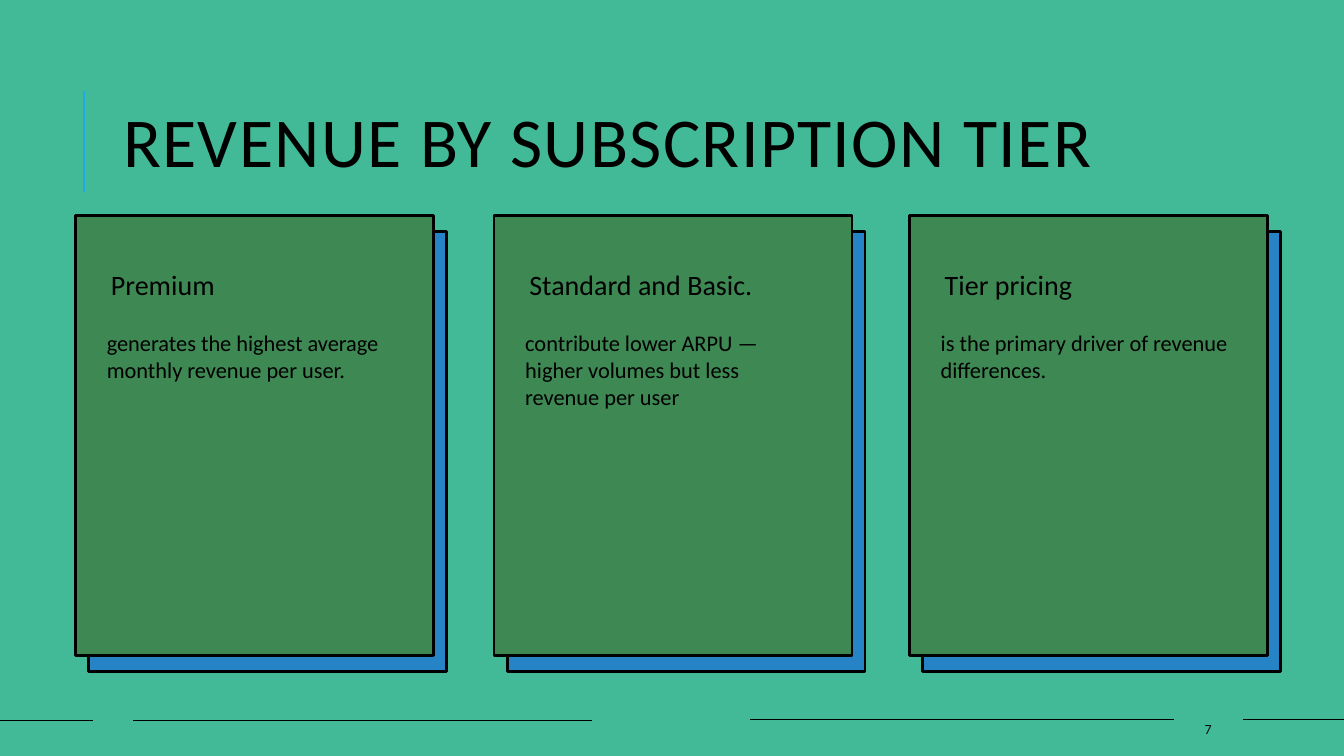
from dataclasses import dataclass

from pptx import Presentation
from pptx.dml.color import RGBColor
from pptx.enum.shapes import MSO_CONNECTOR, MSO_SHAPE
from pptx.enum.text import MSO_ANCHOR, MSO_AUTO_SIZE, PP_ALIGN
from pptx.oxml.ns import qn
from pptx.slide import Slide
from pptx.text.text import TextFrame
from pptx.util import Pt
from lxml.etree import SubElement

EMU_PER_PX = 9144  # 100 px to the inch
FONT = "Calibri"
COLORS = {
    "background": "42BA97",
    "accent": "1CADE4",
    "backing": "2683C6",
    "card": "3E8853",
    "ink": "000000",
    "page": "0D0D0D",
}
CARD_TOP, CARD_WIDTH, CARD_HEIGHT = 214, 355, 436
BACKING_DX, BACKING_DY = 13, 16
DETAIL_DX, DETAIL_DY, DETAIL_WIDTH, DETAIL_HEIGHT = 26, 108, 300, 305


@dataclass
class Rule:
    x1: int
    y1: int
    x2: int
    y2: int
    color: str = "ink"
    weight: float = 1


@dataclass
class Tier:
    left: int
    heading: str
    detail: str


RULES = [
    Rule(83, 190, 83, 90, "accent", 1.5),
    Rule(0, 715, 92, 715),
    Rule(132, 715, 587, 715),
    Rule(744, 714, 1164, 714),
    Rule(1233, 714, 1333, 714),
]
TIERS = [
    Tier(75, "Premium", "generates the highest average monthly revenue per user."),
    Tier(490, "Standard and Basic.",
         "contribute lower ARPU — higher volumes but less revenue per user"),
    Tier(902, "Tier pricing", "is the primary driver of revenue differences."),
]


def px(*lengths: int) -> list[int]:
    return [length * EMU_PER_PX for length in lengths]


def rgb(name: str) -> RGBColor:
    return RGBColor.from_string(COLORS[name])


def write(frame: TextFrame, text: str, size: int, color: str = "ink",
          anchor: MSO_ANCHOR = MSO_ANCHOR.TOP, line_spacing: float = 1.0,
          insets: tuple[int, int, int, int] = (5, 5, 5, 5), tracking: int = 0) -> None:
    """Fill a frame with one left-aligned run; insets are left, top, right, bottom."""
    frame.word_wrap = True
    frame.auto_size = MSO_AUTO_SIZE.NONE
    frame.vertical_anchor = anchor
    (frame.margin_left, frame.margin_top,
     frame.margin_right, frame.margin_bottom) = px(*insets)
    paragraph = frame.paragraphs[0]
    paragraph.alignment = PP_ALIGN.LEFT
    paragraph.line_spacing = line_spacing
    run = paragraph.add_run()
    run.text = text
    run.font.name = FONT
    run.font.size = Pt(size)
    run.font.color.rgb = rgb(color)
    if tracking:
        run.font._element.set("spc", str(tracking * 100))


def draw_rule(slide: Slide, rule: Rule) -> None:
    line = slide.shapes.add_connector(
        MSO_CONNECTOR.STRAIGHT, *px(rule.x1, rule.y1, rule.x2, rule.y2))
    line.line.color.rgb = rgb(rule.color)
    line.line.width = Pt(rule.weight)
    SubElement(line._element.spPr, qn("a:effectLst"))


def draw_panel(slide: Slide, left: int, top: int, fill: str) -> TextFrame:
    panel = slide.shapes.add_shape(
        MSO_SHAPE.RECTANGLE, *px(left, top, CARD_WIDTH, CARD_HEIGHT))
    panel.shadow.inherit = False
    panel.fill.solid()
    panel.fill.fore_color.rgb = rgb(fill)
    panel.line.color.rgb = rgb("ink")
    panel.line.width = Pt(2)
    return panel.text_frame


def draw_tier(slide: Slide, tier: Tier) -> None:
    draw_panel(slide, tier.left + BACKING_DX, CARD_TOP + BACKING_DY, "backing")
    card = draw_panel(slide, tier.left, CARD_TOP, "card")
    write(card, tier.heading, 20, line_spacing=0.9, insets=(35, 55, 5, 5))
    detail = slide.shapes.add_textbox(*px(
        tier.left + DETAIL_DX, CARD_TOP + DETAIL_DY, DETAIL_WIDTH, DETAIL_HEIGHT))
    write(detail.text_frame, tier.detail, 16)


def main() -> None:
    deck = Presentation()
    deck.slide_width, deck.slide_height = px(1333, 750)
    slide = deck.slides.add_slide(deck.slide_layouts[5])
    slide.background.fill.solid()
    slide.background.fill.fore_color.rgb = rgb("background")

    # Title
    title = slide.shapes.title
    title.left, title.top, title.width, title.height = px(112, 64, 1063, 164)
    write(title.text_frame, "REVENUE BY SUBSCRIPTION TIER", 50, anchor=MSO_ANCHOR.MIDDLE,
          line_spacing=0.8, insets=(10, 5, 10, 5), tracking=1)

    # Accent bar and footer rules
    for rule in RULES:
        draw_rule(slide, rule)

    # Tier cards
    for tier in TIERS:
        draw_tier(slide, tier)

    # Page number
    page = slide.shapes.add_textbox(*px(1185, 708, 106, 30))
    write(page.text_frame, "7", 10, color="page", anchor=MSO_ANCHOR.MIDDLE,
          insets=(10, 5, 10, 5))

    deck.save("out.pptx")


if __name__ == "__main__":
    main()
